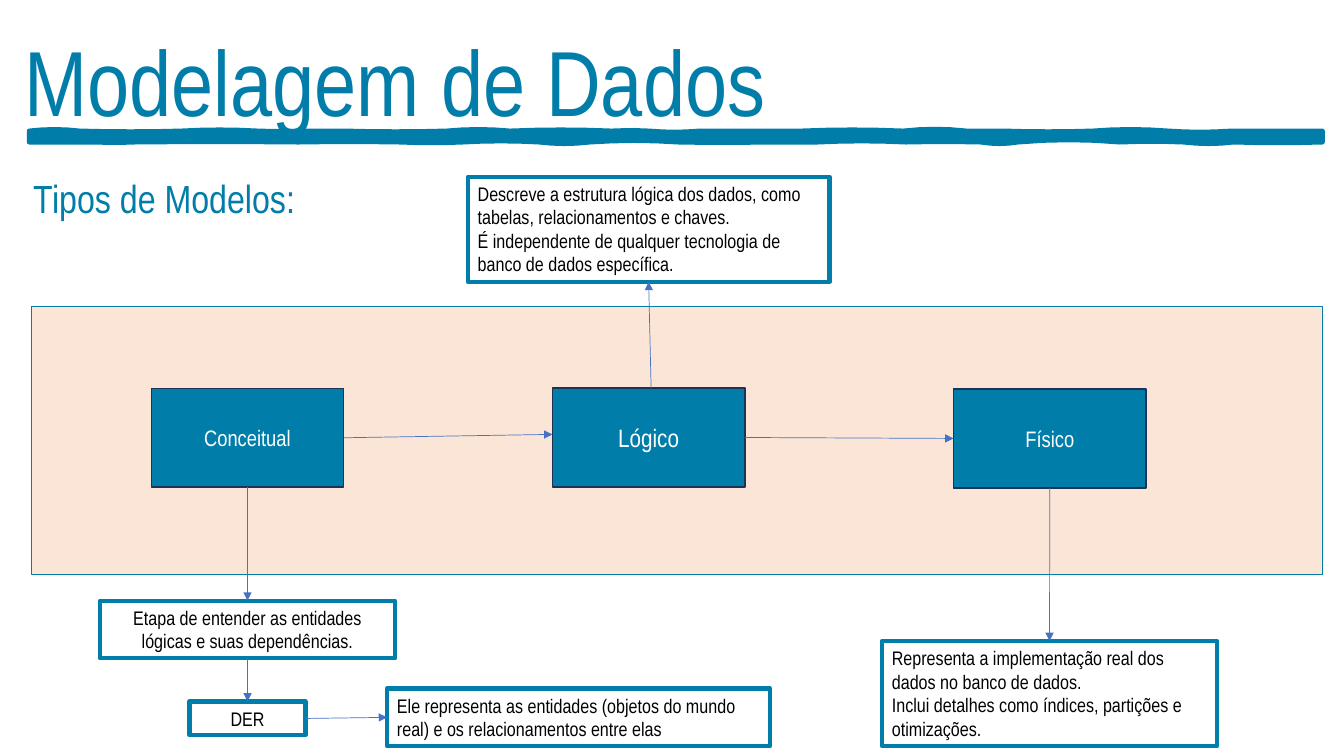
from dataclasses import dataclass
from typing import Union

from lxml.etree import SubElement
from pptx import Presentation
from pptx.dml.color import RGBColor
from pptx.enum.shapes import MSO_CONNECTOR, MSO_SHAPE
from pptx.enum.text import MSO_ANCHOR, MSO_AUTO_SIZE, PP_ALIGN
from pptx.oxml.ns import qn
from pptx.util import Pt

COLORS = {
    "blue": "007DA9",
    "navy": "1E3256",
    "peach": "FBE5D6",
    "arrow": "4472C4",
    "white": "FFFFFF",
    "black": "000000",
}
FONT = "Arial Narrow"
TOP, LEFT, BOTTOM, RIGHT = range(4)

STAGE_LEFT, STAGE_PITCH = 108, 286.55
STAGE_WIDTH, STAGE_HEIGHT = 137.5, 70.6

# Brush stroke edges: (x where a wave ends, height of its bulge)
BRUSH_LEFT, BRUSH_TOP, BRUSH_BOTTOM = 20.9, 93.6, 101.5
BRUSH_UPPER = [
    (56.9, -1.1), (129.6, 0.5), (184.3, -0.8), (219.6, 0.3), (246.2, 0),
    (319, 0.5), (364.3, -1.1), (437, -0.8), (463.7, -0.3), (499.7, 0.8),
    (572.4, 0), (645.1, -0.8), (690.5, -1.3), (717.1, 0), (780.5, 0.5),
    (834.5, -1.1), (879.8, 0.8), (944.6, 0),
]
BRUSH_LOWER = [
    (881.3, 0.5), (845.3, 1.1), (799.9, -0.5), (727.2, -1.6), (700.6, 1.1),
    (647.3, -0.3), (583.9, -0.8), (547.9, 0), (484.6, 0.3), (421.2, -1.1),
    (385.2, 1.1), (330.5, -0.8), (285.8, 0.5), (213.1, -0.3), (95, -0.3),
    (68.4, 0.3), (BRUSH_LEFT, 0),
]


@dataclass
class Stage:
    name: str
    top: float
    size: float


@dataclass
class Note:
    name: str
    left: float
    top: float
    width: float
    height: float
    lines: list[str]
    align: PP_ALIGN = PP_ALIGN.LEFT


@dataclass
class Joint:
    box: str
    side: int


@dataclass
class Spot:
    x: float
    y: float


@dataclass
class Arrow:
    start: Union[Joint, Spot]
    end: Union[Joint, Spot]


STAGES = [
    Stage("Conceitual", 277.4, 16),
    Stage("Lógico", 277.2, 18),
    Stage("Físico", 277.9, 16),
]
NOTES = [
    Note("etapa", 71.3, 429.1, 211, 41.2,
         ["Etapa de entender as entidades lógicas e suas dependências."],
         PP_ALIGN.CENTER),
    Note("der", 135.4, 501.1, 82.8, 24.2, ["DER"], PP_ALIGN.CENTER),
    Note("estrutura", 334.1, 126.2, 258.5, 75.1,
         ["Descreve a estrutura lógica dos dados, como tabelas, "
          "relacionamentos e chaves.",
          "É independente de qualquer tecnologia de banco de dados específica."]),
    Note("entidades", 276.5, 491.8, 273.6, 41.2,
         ["Ele representa as entidades (objetos do mundo real) e os "
          "relacionamentos entre elas"]),
    Note("implementação", 630, 457.9, 239.4, 75.1,
         ["Representa a implementação real dos dados no banco de dados.",
          "Inclui detalhes como índices, partições e otimizações."]),
]
ARROWS = [
    Arrow(Joint("Conceitual", RIGHT), Spot(394.6, 310.3)),
    Arrow(Joint("Lógico", RIGHT), Joint("Físico", LEFT)),
    Arrow(Joint("Conceitual", BOTTOM), Joint("etapa", TOP)),
    Arrow(Joint("etapa", BOTTOM), Joint("der", TOP)),
    Arrow(Spot(465.1, 277.2), Joint("estrutura", BOTTOM)),
    Arrow(Joint("der", RIGHT), Joint("entidades", LEFT)),
    Arrow(Joint("Físico", BOTTOM), Joint("implementação", TOP)),
]


def rgb(name: str) -> RGBColor:
    return RGBColor.from_string(COLORS[name])


def write(sp, lines: list[str], size: float, color: str,
          align=PP_ALIGN.LEFT, anchor=MSO_ANCHOR.TOP, grow=True) -> None:
    tf = sp.text_frame
    tf.word_wrap = True
    tf.vertical_anchor = anchor
    tf.auto_size = MSO_AUTO_SIZE.SHAPE_TO_FIT_TEXT if grow else MSO_AUTO_SIZE.NONE
    for i, line in enumerate(lines):
        p = tf.add_paragraph() if i else tf.paragraphs[0]
        p.alignment = align
        r = p.add_run()
        r.text = line
        r.font.name = FONT
        r.font.size = Pt(size)
        r.font.color.rgb = rgb(color)


def paint(sp, fill: Union[str, None], line: str, width: float) -> None:
    sp.shadow.inherit = False
    if fill:
        sp.fill.solid()
        sp.fill.fore_color.rgb = rgb(fill)
    else:
        sp.fill.background()
    sp.line.color.rgb = rgb(line)
    sp.line.width = Pt(width)
    SubElement(sp._element.spPr.get_or_add_ln(), qn("a:round"))


def add_rect(s, left: float, top: float, width: float, height: float):
    return s.shapes.add_shape(MSO_SHAPE.RECTANGLE, Pt(left), Pt(top),
                              Pt(width), Pt(height))


def wave(x: float, base: float, edge: list) -> list:
    """Sample one edge of the brush stroke as parabolic bulges."""
    points = []
    for end, bulge in edge:
        for t in (0.25, 0.5, 0.75, 1):
            points.append((Pt(x + (end - x) * t),
                           Pt(base + 4 * bulge * t * (1 - t))))
        x = end
    return points


def add_brush(s) -> None:
    right = BRUSH_UPPER[-1][0]
    builder = s.shapes.build_freeform(Pt(BRUSH_LEFT), Pt(BRUSH_TOP))
    builder.add_line_segments(
        wave(BRUSH_LEFT, BRUSH_TOP, BRUSH_UPPER)
        + [(Pt(right), Pt(BRUSH_BOTTOM))]
        + wave(right, BRUSH_BOTTOM, BRUSH_LOWER))
    paint(builder.convert_to_shape(), "blue", "blue", 3.5)


def add_arrow(s, arrow: Arrow, boxes: dict) -> None:
    ends = [(Pt(e.x), Pt(e.y)) if isinstance(e, Spot) else (0, 0)
            for e in (arrow.start, arrow.end)]
    c = s.shapes.add_connector(MSO_CONNECTOR.STRAIGHT, *ends[0], *ends[1])
    if isinstance(arrow.start, Joint):
        c.begin_connect(boxes[arrow.start.box], arrow.start.side)
    if isinstance(arrow.end, Joint):
        c.end_connect(boxes[arrow.end.box], arrow.end.side)
    c.line.color.rgb = rgb("arrow")
    c.line.width = Pt(0.5)
    spPr = c._element.spPr
    SubElement(spPr.get_or_add_ln(), qn("a:tailEnd"), type="triangle")
    SubElement(spPr, qn("a:effectLst"))


def main() -> None:
    prs = Presentation()
    prs.slide_width, prs.slide_height = Pt(960), Pt(540)
    s = prs.slides.add_slide(prs.slide_layouts[5])

    title = s.shapes.title
    title.left, title.top = Pt(10.1), Pt(13.7)
    title.width, title.height = Pt(825.8), Pt(87.1)
    write(title, ["Modelagem de Dados"], 66, "blue")
    add_brush(s)

    paint(add_rect(s, 22.3, 218.9, 922.3, 191.5), "peach", "blue", 1)
    subtitle = s.shapes.add_textbox(Pt(16.6), Pt(121), Pt(862.6), Pt(41))
    write(subtitle, ["Tipos de Modelos:"], 28, "blue")

    boxes = {}
    for i, stage in enumerate(STAGES):
        sp = add_rect(s, STAGE_LEFT + i * STAGE_PITCH, stage.top,
                      STAGE_WIDTH, STAGE_HEIGHT)
        paint(sp, "blue", "navy", 1)
        write(sp, [stage.name], stage.size, "white", PP_ALIGN.CENTER,
              MSO_ANCHOR.MIDDLE, grow=False)
        boxes[stage.name] = sp
    for note in NOTES:
        sp = add_rect(s, note.left, note.top, note.width, note.height)
        paint(sp, None, "blue", 3)
        write(sp, note.lines, 14, "black", note.align)
        boxes[note.name] = sp
    for arrow in ARROWS:
        add_arrow(s, arrow, boxes)

    prs.save("out.pptx")


if __name__ == "__main__":
    main()
